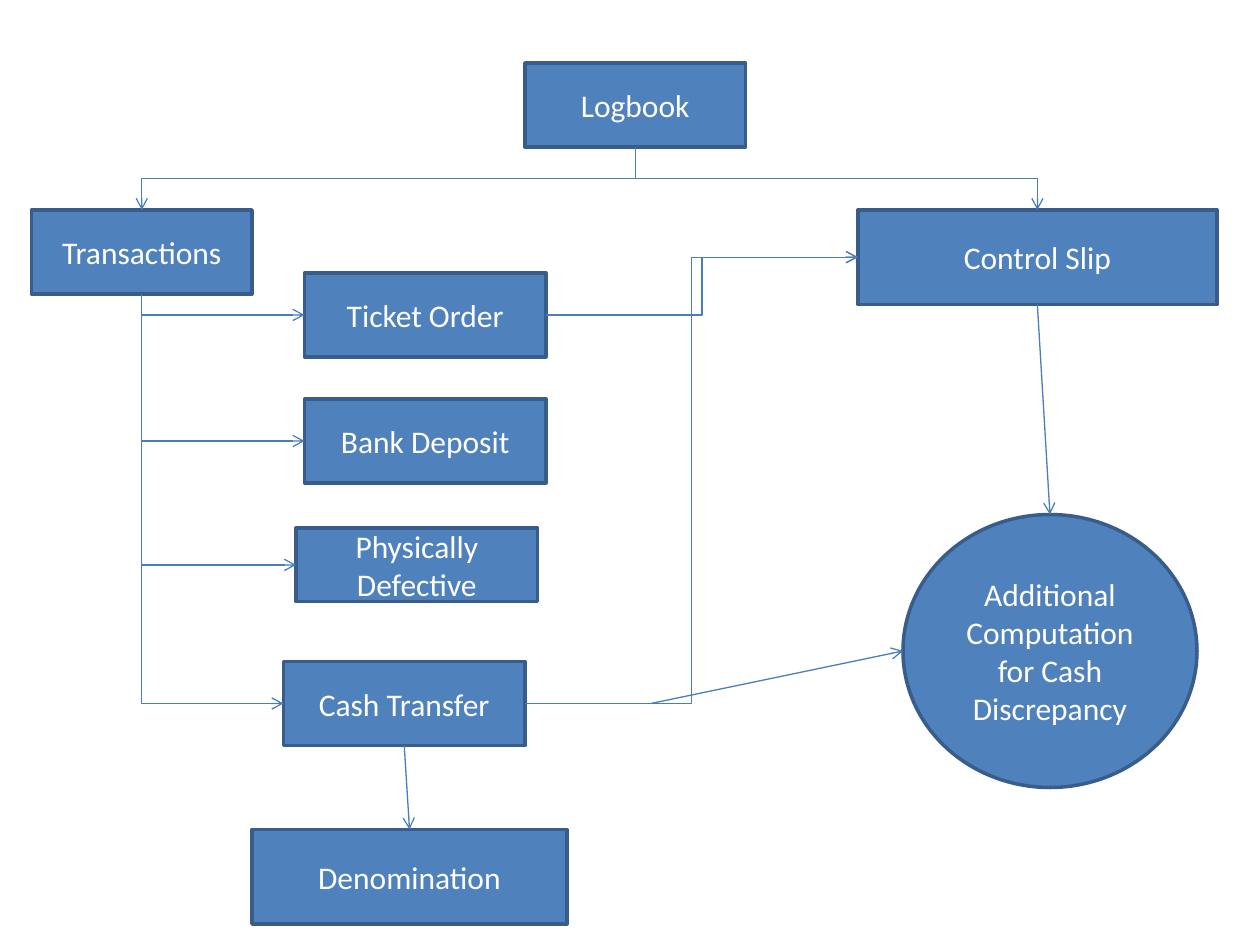
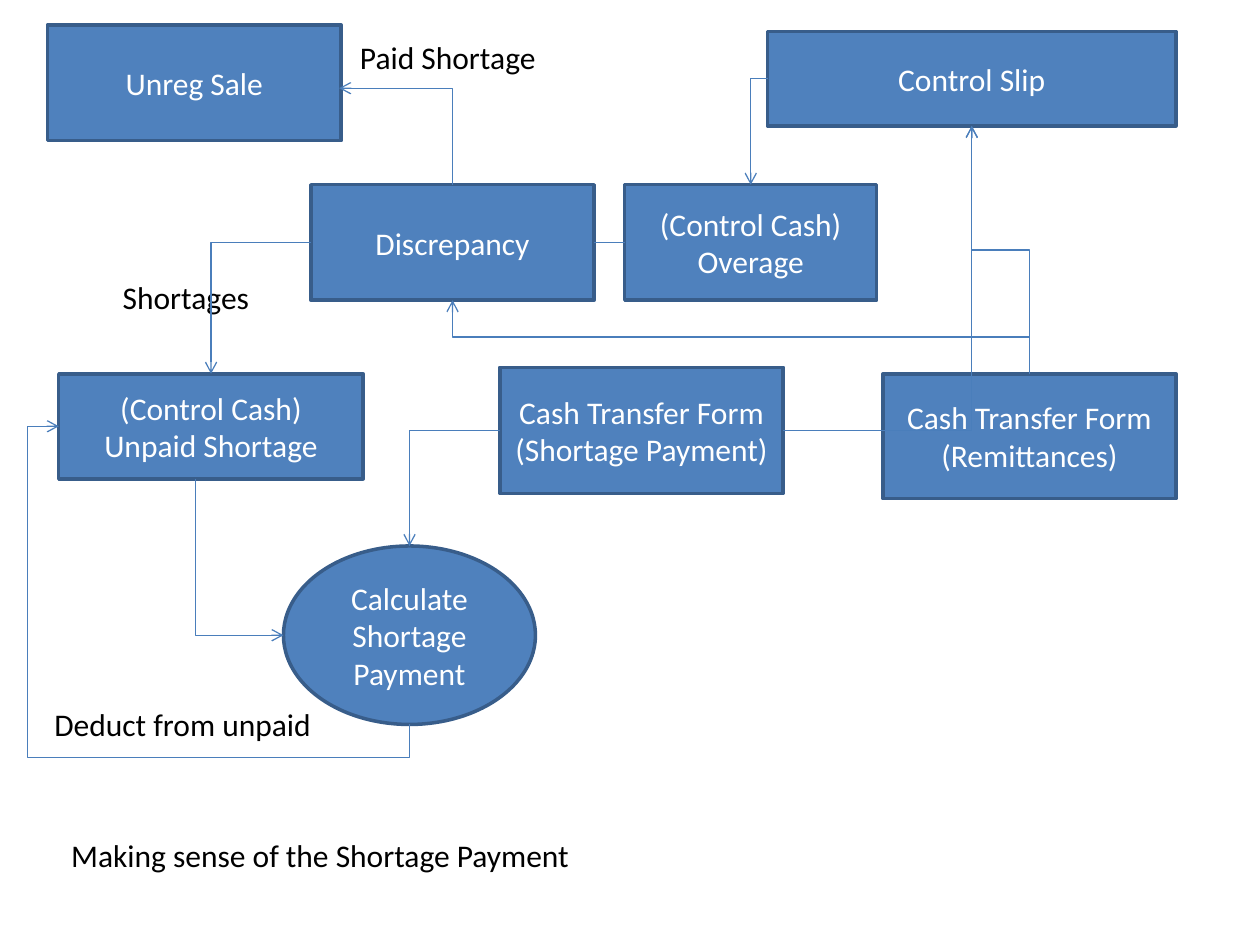
from dataclasses import dataclass

from lxml import etree
from pptx import Presentation
from pptx.dml.color import RGBColor
from pptx.enum.shapes import MSO_CONNECTOR, MSO_SHAPE
from pptx.enum.text import MSO_ANCHOR, PP_ALIGN
from pptx.oxml.ns import qn
from pptx.util import Inches, Pt

RECTANGLE, ELLIPSE = MSO_SHAPE.RECTANGLE, MSO_SHAPE.OVAL
STRAIGHT, ELBOW = MSO_CONNECTOR.STRAIGHT, MSO_CONNECTOR.ELBOW
CENTER, LEFT_ALIGNED = PP_ALIGN.CENTER, PP_ALIGN.LEFT
MIDDLE = MSO_ANCHOR.MIDDLE
TOP, LEFT, BOTTOM, RIGHT = range(4)
COLUMNS, ROWS = 120, 90
SLIDE_WIDTH, SLIDE_HEIGHT = Inches(10), Inches(7.5)
BLANK_LAYOUT = 6


@dataclass(frozen=True)
class Theme:
    """Colours, font and sizes shared by both slides."""
    fill: RGBColor = RGBColor(0x4F, 0x81, 0xBD)
    border: RGBColor = RGBColor(0x38, 0x5D, 0x8A)
    connector: RGBColor = RGBColor(0x4A, 0x7E, 0xBB)
    light_text: RGBColor = RGBColor(0xFF, 0xFF, 0xFF)
    dark_text: RGBColor = RGBColor(0, 0, 0)
    font: str = "Calibri"
    text_size: float = 18
    border_width: float = 2
    connector_width: float = 0.75


THEME = Theme()


@dataclass(frozen=True)
class Node:
    """A flowchart step, placed in grid columns and rows."""
    text: str
    column: float
    row: float
    width: float
    height: float
    kind: int = RECTANGLE


@dataclass(frozen=True)
class Label:
    """A plain caption, placed in grid columns and rows."""
    text: str
    column: float
    row: float
    width: float
    height: float = 4.8


@dataclass(frozen=True)
class End:
    """A link end: the middle of a node's side, or a free grid point."""
    side: int
    node: Node | None = None
    column: float = 0
    row: float = 0

    def point(self) -> tuple[float, float]:
        """Return the grid position of the end."""
        if self.node is None:
            return self.column, self.row
        share_x, share_y = {TOP: (0.5, 0), LEFT: (0, 0.5),
                            BOTTOM: (0.5, 1), RIGHT: (1, 0.5)}[self.side]
        node = self.node
        return node.column + share_x * node.width, node.row + share_y * node.height


@dataclass(frozen=True)
class Link:
    """A straight or elbow connector between two ends."""
    start: End
    end: End
    straight: bool = False
    arrow: bool = True
    adjustments: tuple[float, ...] = ()


def across(columns: float) -> int:
    """Convert grid columns to a length."""
    return round(SLIDE_WIDTH * columns / COLUMNS)


def down(rows: float) -> int:
    """Convert grid rows to a length."""
    return round(SLIDE_HEIGHT * rows / ROWS)


def place(item: Node | Label) -> tuple[int, int, int, int]:
    """Return left, top, width and height of a grid item."""
    return across(item.column), down(item.row), across(item.width), down(item.height)


def write_text(shape, text: str, color: RGBColor, alignment) -> None:
    """Write one paragraph in the theme's font."""
    text_frame = shape.text_frame
    text_frame.word_wrap = True
    text_frame.text = text
    paragraph = text_frame.paragraphs[0]
    paragraph.alignment = alignment
    font = paragraph.runs[0].font
    font.name, font.size = THEME.font, Pt(THEME.text_size)
    font.color.rgb = color


def draw_node(slide, node: Node):
    """Draw a flowchart step and return its shape."""
    shape = slide.shapes.add_shape(node.kind, *place(node))
    shape.shadow.inherit = False
    shape.fill.solid()
    shape.fill.fore_color.rgb = THEME.fill
    shape.line.color.rgb = THEME.border
    shape.line.width = Pt(THEME.border_width)
    shape.text_frame.vertical_anchor = MIDDLE
    write_text(shape, node.text, THEME.light_text, CENTER)
    return shape


def draw_label(slide, label: Label) -> None:
    """Draw a caption."""
    write_text(slide.shapes.add_textbox(*place(label)), label.text,
               THEME.dark_text, LEFT_ALIGNED)


def join(connector, link: Link, shapes: dict) -> None:
    """Attach the connector to the nodes at its ends."""
    ends = ((link.start, connector.begin_connect, "a:stCxn"),
            (link.end, connector.end_connect, "a:endCxn"))
    for end, connect, tag in ends:
        if end.node is None:
            continue
        shape = shapes[end.node]
        if end.node.kind == RECTANGLE:
            connect(shape, end.side)
        else:
            properties = connector._element.find(".//" + qn("p:cNvCxnSpPr"))
            etree.SubElement(properties, qn(tag), id=str(shape.shape_id),
                             idx=str(2 * end.side))


def bend(connector, link: Link) -> None:
    """Shape an elbow from the directions of its two ends."""
    (start_x, start_y), (end_x, end_y) = link.start.point(), link.end.point()
    left, right = sorted((across(start_x), across(end_x)))
    top, bottom = sorted((down(start_y), down(end_y)))
    width, height = right - left, bottom - top
    rightward, downward = end_x > start_x, end_y > start_y
    if link.start.side in (LEFT, RIGHT):
        rotation = 0 if rightward else 180
        flips = (False, rightward != downward)
        size = width, height
    else:
        falling_left = downward and not rightward
        rotation = 90 if falling_left else 270
        flips = (downward and rightward, not downward and not rightward)
        size = height, width
    connector.width, connector.height = size
    connector.left = (left + right - size[0]) // 2
    connector.top = (top + bottom - size[1]) // 2
    connector.rotation = rotation
    properties = connector._element.spPr
    transform = properties.find(qn("a:xfrm"))
    for name, flipped in zip(("flipH", "flipV"), flips):
        transform.set(name, str(int(flipped)))
    geometry = properties.find(qn("a:prstGeom"))
    same_axis = link.start.side % 2 == link.end.side % 2
    segments = 4 if link.adjustments else 3 if same_axis else 2
    geometry.set("prst", f"bentConnector{segments}")
    guides = geometry.find(qn("a:avLst"))
    for number, share in enumerate(link.adjustments, 1):
        etree.SubElement(guides, qn("a:gd"), name=f"adj{number}",
                         fmla=f"val {round(share * 100000)}")


def draw_link(slide, link: Link, shapes: dict) -> None:
    """Draw a connector with its joins, bends and arrowhead."""
    (start_x, start_y), (end_x, end_y) = link.start.point(), link.end.point()
    connector = slide.shapes.add_connector(
        STRAIGHT if link.straight else ELBOW,
        across(start_x), down(start_y), across(end_x), down(end_y))
    join(connector, link, shapes)
    if not link.straight:
        bend(connector, link)
    connector.line.color.rgb = THEME.connector
    connector.line.width = Pt(THEME.connector_width)
    properties = connector._element.spPr
    if link.arrow:
        etree.SubElement(properties.find(qn("a:ln")), qn("a:tailEnd"), type="arrow")
    etree.SubElement(properties, qn("a:effectLst"))


def draw_flowchart(presentation, nodes: list[Node], links: list[Link],
                   labels: list[Label]) -> None:
    """Add a slide holding one flowchart."""
    slide = presentation.slides.add_slide(presentation.slide_layouts[BLANK_LAYOUT])
    for label in labels:
        draw_label(slide, label)
    shapes = {node: draw_node(slide, node) for node in nodes}
    for link in links:
        draw_link(slide, link, shapes)


def add_logbook_slide(presentation) -> None:
    """Show how logbook entries reach the control slip."""
    logbook = Node("Logbook", 50, 6, 21, 8)
    transactions = Node("Transactions", 3, 20, 21, 8)
    control_slip = Node("Control Slip", 81.7, 20, 34.2, 9)
    ticket_order = Node("Ticket Order", 29, 26, 23, 8)
    deposit = Node("Bank Deposit", 29, 38, 23, 8)
    defective = Node("Physically Defective", 28.2, 50.3, 23, 7)
    cash_transfer = Node("Cash Transfer", 27, 63, 23, 8)
    denomination = Node("Denomination", 24, 79, 30, 9)
    computation = Node("Additional Computation for Cash Discrepancy",
                       86, 49, 28, 26, ELLIPSE)
    entries = [ticket_order, deposit, defective, cash_transfer]
    links = [
        Link(End(BOTTOM, logbook), End(TOP, transactions)),
        Link(End(RIGHT, column=60.5, row=17), End(TOP, control_slip)),
        *(Link(End(BOTTOM, transactions), End(LEFT, entry)) for entry in entries),
        *(Link(End(RIGHT, entry), End(LEFT, control_slip))
          for entry in (cash_transfer, ticket_order)),
        Link(End(BOTTOM, cash_transfer), End(TOP, denomination), straight=True),
        Link(End(RIGHT, column=62, row=67), End(LEFT, computation), straight=True),
        Link(End(BOTTOM, control_slip), End(TOP, computation), straight=True),
    ]
    nodes = [logbook, transactions, control_slip, *entries, denomination, computation]
    draw_flowchart(presentation, nodes, links, [])


def add_shortage_slide(presentation) -> None:
    """Show how shortages are found, paid and deducted."""
    discrepancy = Node("Discrepancy", 29.6, 17.6, 27, 11)
    unregistered = Node("Unreg Sale", 4.5, 2.4, 28, 11)
    unpaid = Node("(Control Cash) Unpaid Shortage", 5.6, 35.6, 29, 10)
    remittances = Node("Cash Transfer Form (Remittances)", 84.1, 35.6, 27.9, 11.9)
    payment = Node("Cash Transfer Form (Shortage Payment)", 47.6, 35, 27, 12)
    control_slip = Node("Control Slip", 73.1, 3, 38.9, 9)
    overage = Node("(Control Cash) Overage", 59.5, 17.6, 24, 11)
    calculation = Node("Calculate Shortage Payment", 27, 52, 24, 17, ELLIPSE)
    links = [
        Link(End(TOP, discrepancy), End(RIGHT, column=32.3, row=8.4)),
        Link(End(LEFT, discrepancy), End(TOP, unpaid)),
        Link(End(TOP, remittances), End(BOTTOM, discrepancy)),
        Link(End(TOP, remittances), End(BOTTOM, control_slip)),
        Link(End(RIGHT, payment), End(BOTTOM, control_slip)),
        Link(End(LEFT, control_slip), End(TOP, overage)),
        Link(End(RIGHT, discrepancy), End(LEFT, overage), straight=True, arrow=False),
        Link(End(LEFT, payment), End(TOP, calculation)),
        Link(End(BOTTOM, column=18.6, row=45.6), End(LEFT, calculation)),
        Link(End(BOTTOM, calculation), End(LEFT, unpaid), adjustments=(-0.11, 1.09)),
    ]
    labels = [
        Label("Paid Shortage", 33.1, 3, 20),
        Label("Shortages", 10.5, 25.9, 19),
        Label("Deduct from unpaid", 4, 66.6, 28.8),
        Label("Making sense of the Shortage Payment", 5.6, 79, 51.1),
    ]
    nodes = [discrepancy, unregistered, unpaid, remittances, payment,
             control_slip, overage, calculation]
    draw_flowchart(presentation, nodes, links, labels)


def main() -> None:
    """Build and save the presentation."""
    presentation = Presentation()
    presentation.slide_width, presentation.slide_height = SLIDE_WIDTH, SLIDE_HEIGHT
    add_logbook_slide(presentation)
    add_shortage_slide(presentation)
    presentation.save("out.pptx")


if __name__ == "__main__":
    main()
